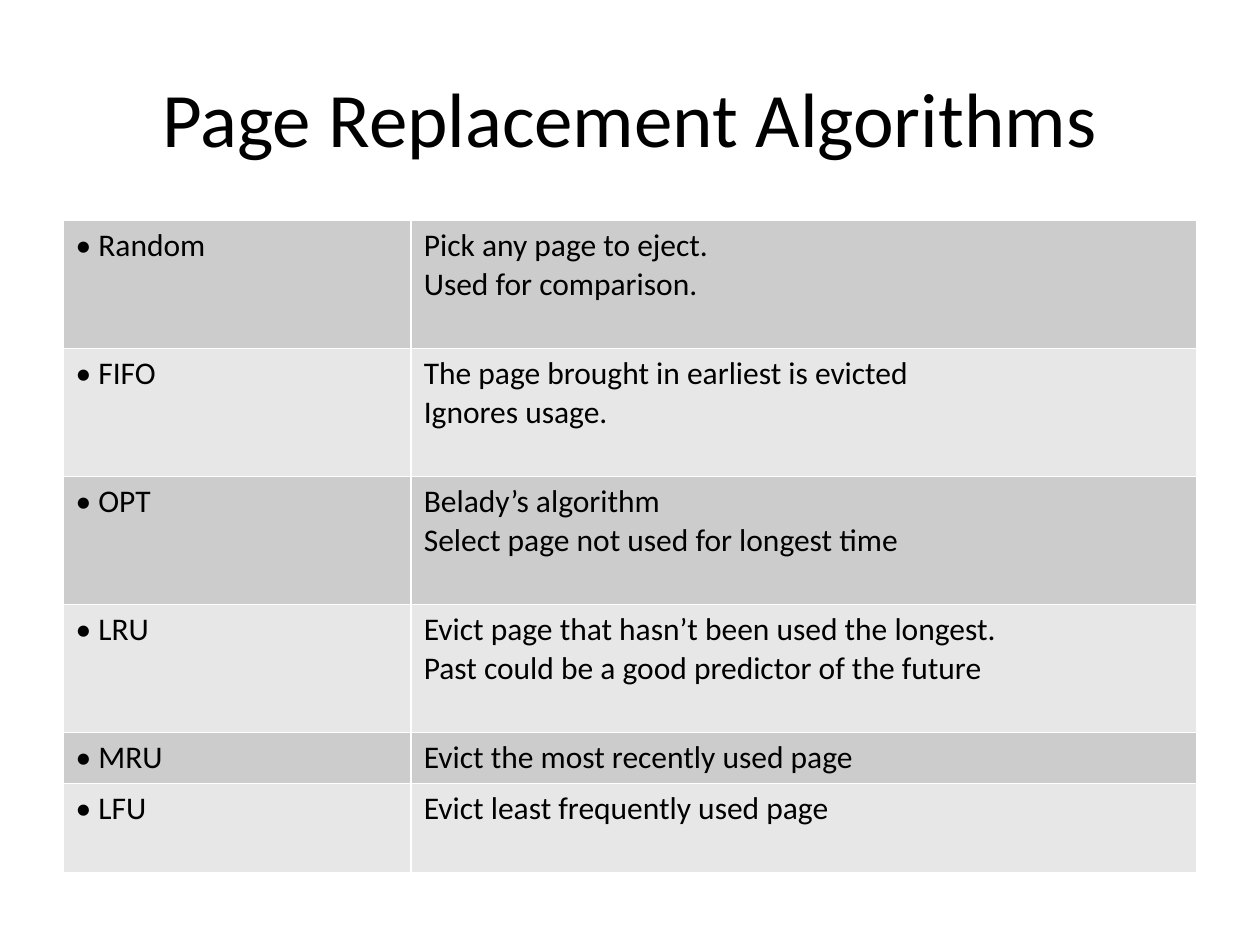
from dataclasses import dataclass

from lxml.etree import SubElement
from pptx import Presentation
from pptx.dml.color import RGBColor
from pptx.enum.text import MSO_ANCHOR, PP_ALIGN
from pptx.oxml.ns import qn
from pptx.util import Pt


@dataclass(frozen=True)
class Theme:
    font: str = "Calibri"
    title_size: int = 44
    body_size: int = 18
    text: str = "000000"
    bands: tuple = ("CCCCCC", "E7E7E7")
    border: str = "FFFFFF"
    border_width: int = 1


theme = Theme()


def format_text(tf, size):
    for p in tf.paragraphs:
        for r in p.runs:
            r.font.name = theme.font
            r.font.size = Pt(size)
            r.font.bold = False
            r.font.color.rgb = RGBColor.from_string(theme.text)


def add_borders(cell):
    tcPr = cell._tc.get_or_add_tcPr()
    for side in ("lnL", "lnR", "lnT", "lnB"):
        ln = SubElement(tcPr, qn(f"a:{side}"), w=str(Pt(theme.border_width)))
        fill = SubElement(ln, qn("a:solidFill"))
        SubElement(fill, qn("a:srgbClr"), val=theme.border)


algorithms = [
    ("• Random", "Pick any page to eject.\nUsed for comparison.", 73.15),
    ("• FIFO", "The page brought in earliest is evicted\nIgnores usage.", 73.15),
    ("• OPT", "Belady’s algorithm\nSelect page not used for longest time", 73.15),
    ("• LRU", "Evict page that hasn’t been used the longest.\n"
              "Past could be a good predictor of the future", 73.15),
    ("• MRU", "Evict the most recently used page", 29.2),
    ("• LFU", "Evict least frequently used page", 50.8),
]
col_widths = (199, 449)

prs = Presentation()
prs.slide_width, prs.slide_height = Pt(720), Pt(540)
s = prs.slides.add_slide(prs.slide_layouts[5])

title = s.shapes.title
title.left, title.top, title.width, title.height = Pt(36), Pt(21.6), Pt(648), Pt(90)
tf = title.text_frame
tf.text = "Page Replacement Algorithms"
tf.vertical_anchor = MSO_ANCHOR.MIDDLE
tf.paragraphs[0].alignment = PP_ALIGN.CENTER
format_text(tf, theme.title_size)

table = s.shapes.add_table(
    len(algorithms), len(col_widths), Pt(36), Pt(126),
    Pt(sum(col_widths)), Pt(sum(height for *_, height in algorithms)),
).table
table.first_row = False
for column, width in zip(table.columns, col_widths):
    column.width = Pt(width)

for i, (name, description, height) in enumerate(algorithms):
    table.rows[i].height = Pt(height)
    for cell, text in zip(table.rows[i].cells, (name, description)):
        cell.text_frame.text = text
        format_text(cell.text_frame, theme.body_size)
        add_borders(cell)
        cell.fill.solid()
        cell.fill.fore_color.rgb = RGBColor.from_string(theme.bands[i % 2])

prs.save("out.pptx")
